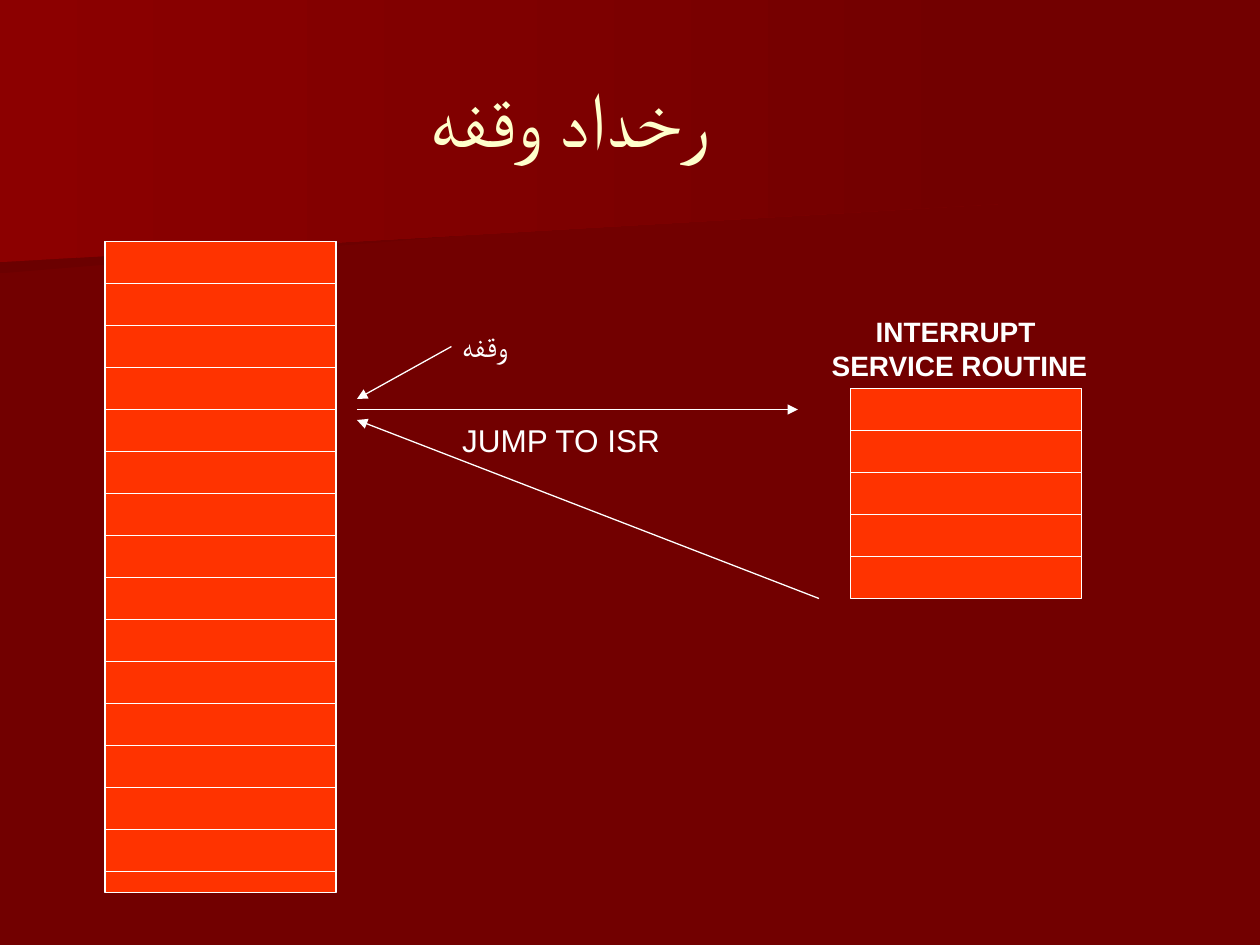
"""Build the interrupt event slide: program memory, jump to the ISR and return."""
from pptx import Presentation
from pptx.dml.color import RGBColor
from pptx.enum.shapes import MSO_CONNECTOR, MSO_SHAPE
from pptx.enum.text import MSO_ANCHOR, PP_ALIGN
from pptx.oxml.ns import qn
from pptx.util import Pt
from lxml import etree

RECTANGLE = MSO_SHAPE.RECTANGLE
STRAIGHT = MSO_CONNECTOR.STRAIGHT
LEFT, CENTER = PP_ALIGN.LEFT, PP_ALIGN.CENTER
TOP, MIDDLE = MSO_ANCHOR.TOP, MSO_ANCHOR.MIDDLE

COLORS = {
    "background": "720000",
    "shade": "6B0000",
    "glow": "8C0000",
    "title": "FFFFCC",
    "cell": "FF3300",
    "white": "FFFFFF",
}
LINE_WIDTH = 0.75
CELL_WIDTH, CELL_HEIGHT = 132, 24

BANDS = [
    ("shade", [(560.2, 110.2), (0, 156.2), (0, 72.7), (560.9, 72.7)]),
    ("glow", [(570.2, 116.6), (0, 149.8), (0, 0), (570.2, 0)]),
]
MEMORY_FRAME = (60, 138, CELL_WIDTH, 372)
CELL_STACKS = [(60, 138, 15), (486, 222, 5)]
ARROWS = [
    ((258, 198), (204, 228)),
    ((204, 234), (456, 234)),
    ((468, 342), (204, 240)),
]
LABELS = [
    {"lines": ["رخداد وقفه"], "box": (0, 21.6, 648, 90), "font": "Cabin", "size": 44,
     "color": "title", "align": CENTER, "anchor": MIDDLE, "wrap": True},
    {"lines": ["وقفه"], "box": (257, 183, 50.4, 29), "size": 18},
    {"lines": ["JUMP TO ISR"], "box": (257, 237, 128, 29), "size": 18},
    {"lines": ["INTERRUPT ", "SERVICE ROUTINE"], "box": (468, 176.4, 160.6, 46), "size": 16,
     "bold": True, "align": CENTER},
]


def color(name):
    return RGBColor.from_string(COLORS[name])


def add_band(slide, name, points):
    builder = slide.shapes.build_freeform(Pt(points[0][0]), Pt(points[0][1]))
    builder.add_line_segments([(Pt(x), Pt(y)) for x, y in points[1:]], close=True)
    band = builder.convert_to_shape()
    band.shadow.inherit = False
    band.line.fill.background()
    band.fill.gradient()
    band.fill.gradient_angle = 0
    for stop, stop_color, position in zip(band.fill.gradient_stops, (name, "background"), (0, 1)):
        stop.color.rgb = color(stop_color)
        stop.position = position


def add_cell(slide, left, top, width, height):
    cell = slide.shapes.add_shape(RECTANGLE, Pt(left), Pt(top), Pt(width), Pt(height))
    cell.shadow.inherit = False
    cell.fill.solid()
    cell.fill.fore_color.rgb = color("cell")
    cell.line.color.rgb = color("white")
    cell.line.width = Pt(LINE_WIDTH)


def add_arrow(slide, start, end):
    arrow = slide.shapes.add_connector(STRAIGHT, *(Pt(value) for value in start + end))
    arrow.line.color.rgb = color("white")
    arrow.line.width = Pt(LINE_WIDTH)
    etree.SubElement(arrow.line._get_or_add_ln(), qn("a:tailEnd"), type="triangle")
    etree.SubElement(arrow._element.spPr, qn("a:effectLst"))


def add_label(slide, label):
    text_box = slide.shapes.add_textbox(*(Pt(value) for value in label["box"]))
    text_frame = text_box.text_frame
    text_frame.word_wrap = label.get("wrap", False)
    text_frame.vertical_anchor = label.get("anchor", TOP)
    text_frame.text = "\n".join(label["lines"])
    for paragraph in text_frame.paragraphs:
        paragraph.alignment = label.get("align", LEFT)
        for run in paragraph.runs:
            run.font.name = label.get("font", "Arial")
            run.font.size = Pt(label["size"])
            run.font.bold = label.get("bold", False)
            run.font.color.rgb = color(label.get("color", "white"))


def main():
    presentation = Presentation()
    presentation.slide_width, presentation.slide_height = Pt(720), Pt(540)
    slide = presentation.slides.add_slide(presentation.slide_layouts[6])
    slide.background.fill.solid()
    slide.background.fill.fore_color.rgb = color("background")
    for name, points in BANDS:
        add_band(slide, name, points)
    add_cell(slide, *MEMORY_FRAME)
    for left, top, count in CELL_STACKS:
        for row in range(count):
            add_cell(slide, left, top + row * CELL_HEIGHT, CELL_WIDTH, CELL_HEIGHT)
    for start, end in ARROWS:
        add_arrow(slide, start, end)
    for label in LABELS:
        add_label(slide, label)
    presentation.save("out.pptx")


if __name__ == "__main__":
    main()
